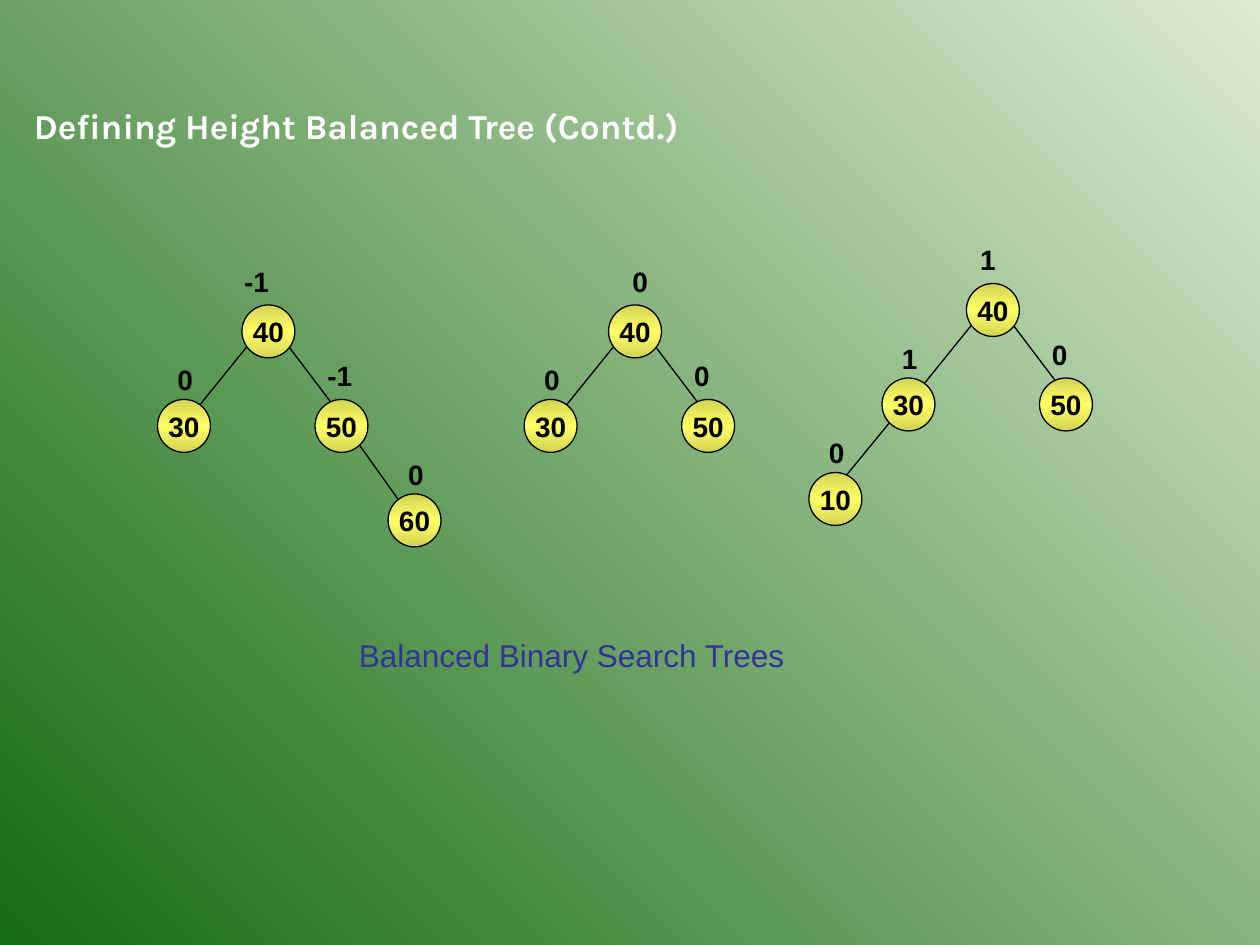
import copy
from dataclasses import dataclass

import pptx
import pptx.dml.color
import pptx.enum.shapes
import pptx.enum.text
import pptx.oxml.ns
import pptx.util
from pptx.util import Inches


@dataclass(frozen=True)
class Theme:
    background: tuple = ("DDEBCF", "156B13")
    node: tuple = ("D3D354", "FFFF66", "D3D354")
    ink: str = "000000"
    title: str = "FFFFFF"
    caption: str = "333399"
    body_font: str = "Arial"
    title_font: str = "Karla"
    node_size: int = 16
    caption_size: int = 18
    title_size: int = 20
    line_width: float = 0.75


@dataclass(frozen=True)
class Slot:
    """A place in a tree; label and edge ends are offsets from a node's corner."""
    offset: tuple
    label: tuple
    parent: str = ""
    edge_start: tuple = ()
    edge_end: tuple = ()


theme = Theme()
rgb = pptx.dml.color.RGBColor.from_string


def set_gradient(fill, colors, angle):
    """Fill with evenly spaced colours; angle runs counter-clockwise."""
    fill.gradient()
    fill.gradient_angle = angle
    stop_list = fill._fill._gradFill.find(pptx.oxml.ns.qn("a:gsLst"))
    for _ in colors[2:]:
        stop_list.append(copy.deepcopy(stop_list[0]))
    for index, (stop, color) in enumerate(zip(fill.gradient_stops, colors)):
        stop.color.rgb = rgb(color)
        stop.position = index / (len(colors) - 1)


def write_text(shape, text, *, size=theme.node_size, color=theme.ink,
               font=theme.body_font, bold=True, centered=False, wrap=False,
               grow=True):
    frame = shape.text_frame
    frame.word_wrap = wrap
    frame.auto_size = (pptx.enum.text.MSO_AUTO_SIZE.SHAPE_TO_FIT_TEXT if grow
                       else pptx.enum.text.MSO_AUTO_SIZE.NONE)
    frame.vertical_anchor = (pptx.enum.text.MSO_ANCHOR.MIDDLE if centered
                             else pptx.enum.text.MSO_ANCHOR.TOP)
    paragraph = frame.paragraphs[0]
    paragraph.alignment = (pptx.enum.text.PP_ALIGN.CENTER if centered
                           else pptx.enum.text.PP_ALIGN.LEFT)
    run = paragraph.add_run()
    run.text = text
    run.font.name = font
    run.font.size = pptx.util.Pt(size)
    run.font.bold = bold
    run.font.color.rgb = rgb(color)


presentation = pptx.Presentation()
presentation.slide_width = Inches(10)
presentation.slide_height = Inches(7.5)
slide = presentation.slides.add_slide(presentation.slide_layouts[6])
set_gradient(slide.background.fill, theme.background, 225)

slots = {
    "root": Slot((0, 0), (0, -0.37)),
    "left": Slot((-0.67, 0.75), (0.06, -0.34), "root", (0.17, 0.17), (0.17, 0.25)),
    "right": Slot((0.58, 0.75), (0, -0.37), "root", (0.25, 0.17), (0.17, 0.08)),
    "left left": Slot((-1.25, 1.5), (0.06, -0.34), "left", (0.08, 0.33), (0.25, 0.08)),
    "right right": Slot((1.16, 1.5), (0.06, -0.34), "right", (0.33, 0.33), (0.17, 0.17)),
}

# Root corner, shift of the root's label, then (value, balance factor) by slot
trees = [
    ((1.92, 2.42), -0.08, {"root": ("40", "-1"), "left": ("30", "0"),
                           "right": ("50", "-1"), "right right": ("60", "0")}),
    ((4.83, 2.42), 0.09, {"root": ("40", "0"), "left": ("30", "0"),
                          "right": ("50", "0")}),
    ((7.67, 2.25), 0.01, {"root": ("40", "1"), "left": ("30", "1"),
                          "right": ("50", "0"), "left left": ("10", "0")}),
]
node_diameter = 0.42

for (root_x, root_y), root_label_shift, nodes in trees:
    corners = {name: (root_x + slots[name].offset[0], root_y + slots[name].offset[1])
               for name in nodes}

    for name, (x, y) in corners.items():
        slot = slots[name]
        if not slot.parent:
            continue
        parent_x, parent_y = corners[slot.parent]
        edge = slide.shapes.add_connector(
            pptx.enum.shapes.MSO_CONNECTOR.STRAIGHT,
            Inches(parent_x + slot.edge_start[0]), Inches(parent_y + slot.edge_start[1]),
            Inches(x + slot.edge_end[0]), Inches(y + slot.edge_end[1]))
        edge.line.color.rgb = rgb(theme.ink)
        edge.line.width = pptx.util.Pt(theme.line_width)
        properties = edge._element.spPr
        properties.append(properties.makeelement(pptx.oxml.ns.qn("a:effectLst"), {}))

    for name, (value, balance) in nodes.items():
        x, y = corners[name]
        node = slide.shapes.add_shape(
            pptx.enum.shapes.MSO_SHAPE.OVAL, Inches(x), Inches(y),
            Inches(node_diameter), Inches(node_diameter))
        node.shadow.inherit = False
        set_gradient(node.fill, theme.node, 90)
        node.line.color.rgb = rgb(theme.ink)
        node.line.width = pptx.util.Pt(theme.line_width)
        write_text(node, value, centered=True, grow=False)

        label_x, label_y = slots[name].label
        if name == "root":
            label_x += root_label_shift
        label = slide.shapes.add_textbox(
            Inches(x + label_x), Inches(y + label_y),
            Inches(0.4 if balance == "-1" else 0.32), Inches(0.37))
        write_text(label, balance)

caption = slide.shapes.add_textbox(Inches(2.75), Inches(5), Inches(5.42), Inches(0.4))
write_text(caption, "Balanced Binary Search Trees", size=theme.caption_size,
           color=theme.caption, bold=False, wrap=True)

title = slide.shapes.add_textbox(Inches(0.17), Inches(0.78), Inches(9.83), Inches(0.44))
write_text(title, "Defining Height Balanced Tree (Contd.)", size=theme.title_size,
           color=theme.title, font=theme.title_font, wrap=True)

presentation.save("out.pptx")
